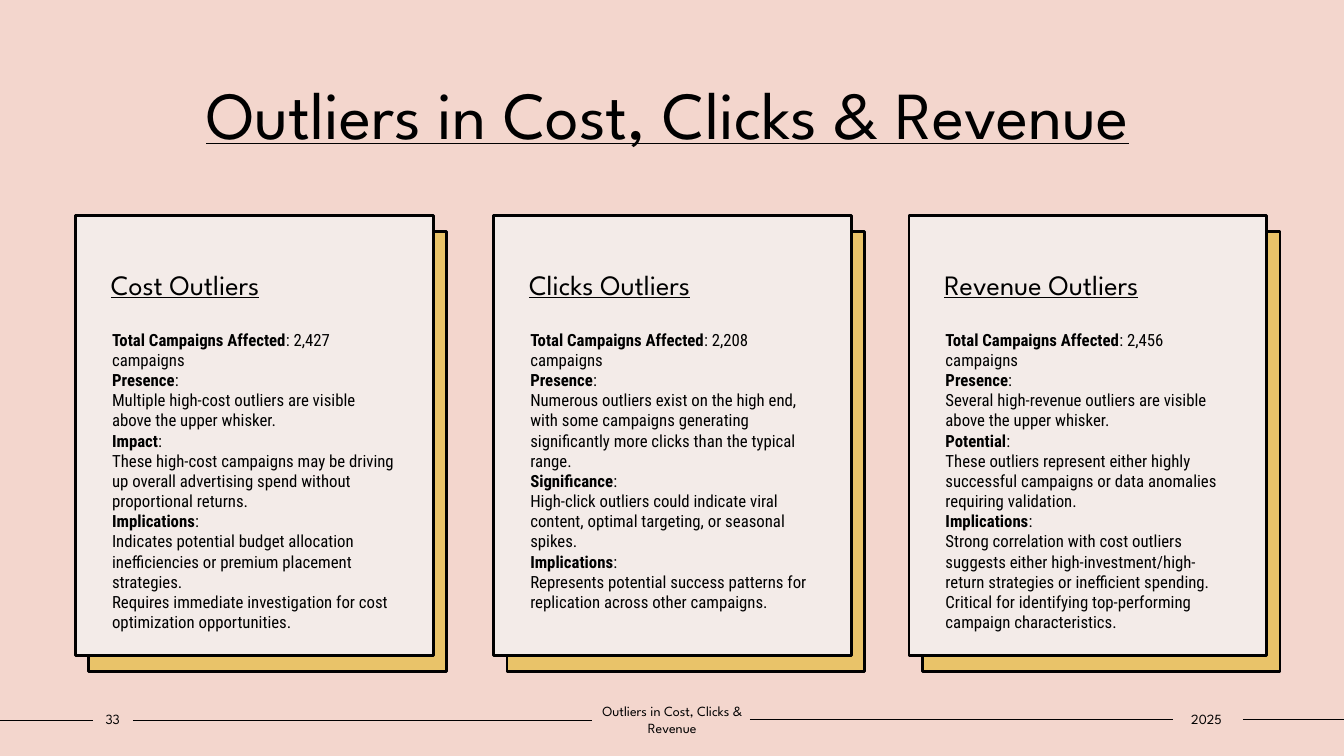
from pptx import Presentation
from pptx.dml.color import RGBColor
from pptx.enum.shapes import MSO_CONNECTOR as CONN, MSO_SHAPE as SHAPE
from pptx.enum.text import MSO_ANCHOR as ANCHOR, PP_ALIGN as ALIGN
from pptx.oxml.ns import qn
from pptx.util import Pt
from lxml.etree import SubElement

COLORS = {"bg": "F3D6CD", "card": "F3EBE8", "gold": "E9C369", "ink": "000000"}
HEAD, BODY = "League Spartan", "Roboto Condensed"
TITLE = "Outliers in Cost, Clicks & Revenue"

CARD_W, CARD_H, CARD_TOP = 255.6, 313.9, 154.1

# Left edge, heading, then (label, lines after the label)
CARDS = [
    (54, "Cost Outliers", [
        ("Total Campaigns Affected", [": 2,427 campaigns"]),
        ("Presence", [":", "Multiple high-cost outliers are visible above the upper whisker."]),
        ("Impact", [":", "These high-cost campaigns may be driving up overall advertising "
                    "spend without proportional returns."]),
        ("Implications", [":", "Indicates potential budget allocation inefficiencies or "
                          "premium placement strategies.",
                          "Requires immediate investigation for cost optimization opportunities."]),
    ]),
    (352.7, "Clicks Outliers", [
        ("Total Campaigns Affected", [": 2,208 campaigns"]),
        ("Presence", [":", "Numerous outliers exist on the high end, with some campaigns "
                      "generating significantly more clicks than the typical range."]),
        ("Significance", [":", "High-click outliers could indicate viral content, optimal "
                          "targeting, or seasonal spikes."]),
        ("Implications", [":", "Represents potential success patterns for replication "
                          "across other campaigns."]),
    ]),
    (649.3, "Revenue Outliers", [
        ("Total Campaigns Affected", [": 2,456 campaigns"]),
        ("Presence", [":", "Several high-revenue outliers are visible above the upper whisker."]),
        ("Potential", [":", "These outliers represent either highly successful campaigns or "
                       "data anomalies requiring validation."]),
        ("Implications", [":", "Strong correlation with cost outliers suggests either "
                          "high-investment/high-return strategies or inefficient spending.",
                          "Critical for identifying top-performing campaign characteristics."]),
    ]),
]

# Footer: (x1, x2, y) rules and (left, width, text) labels
RULES = [(0, 66.2, 514.8), (95, 422.6, 514.8), (535.7, 838.1, 514.1), (887.8, 960, 514.1)]
LABELS = [(66.2, 28.8, "33"), (422.6, 115.2, TITLE), (836.6, 50.4, "2025")]


def rgb(name):
    return RGBColor.from_string(COLORS[name])


class Deck:
    def __init__(self):
        self.prs = Presentation()
        self.prs.slide_width, self.prs.slide_height = Pt(960), Pt(540)
        self.s = self.prs.slides.add_slide(self.prs.slide_layouts[5])
        fill = self.s.background.fill
        fill.solid()
        fill.fore_color.rgb = rgb("bg")

    def frame(self, sp, insets, anchor=ANCHOR.TOP):
        tf = sp.text_frame
        tf.word_wrap = True
        tf.vertical_anchor = anchor
        tf.margin_left, tf.margin_top, tf.margin_right, tf.margin_bottom = map(Pt, insets)
        return tf

    def run(self, p, text, size, font=HEAD, bold=False, underline=False):
        r = p.add_run()
        r.text = text
        f = r.font
        f.name, f.size, f.bold, f.underline = font, Pt(size), bold, underline
        f.color.rgb = rgb("ink")

    def title(self, text, x, y, w, h):
        sp = self.s.shapes.title
        sp.left, sp.top, sp.width, sp.height = map(Pt, (x, y, w, h))
        p = self.frame(sp, (7.2, 3.6, 7.2, 3.6), ANCHOR.MIDDLE).paragraphs[0]
        p.alignment = ALIGN.CENTER
        self.run(p, text, 48, underline=True)

    def rule(self, x1, x2, y):
        line = self.s.shapes.add_connector(CONN.STRAIGHT, Pt(x1), Pt(y), Pt(x2), Pt(y))
        line.line.color.rgb = rgb("ink")
        line.line.width = Pt(1)
        SubElement(line._element.spPr, qn("a:effectLst"))

    def panel(self, x, y, color):
        sp = self.s.shapes.add_shape(SHAPE.RECTANGLE, Pt(x), Pt(y), Pt(CARD_W), Pt(CARD_H))
        sp.shadow.inherit = False
        sp.fill.solid()
        sp.fill.fore_color.rgb = rgb(color)
        sp.line.color.rgb = rgb("ink")
        sp.line.width = Pt(2)
        return sp

    def card(self, x, heading, points):
        sp = self.panel(x, CARD_TOP, "card")
        p = self.frame(sp, (25.2, 39.6, 7.2, 3.6)).paragraphs[0]
        p.alignment = ALIGN.LEFT
        p.line_spacing = 0.9
        self.run(p, heading, 20, underline=True)

        box = self.s.shapes.add_textbox(Pt(x + 19), Pt(CARD_TOP + 77.7), Pt(216), Pt(219.6))
        tf = self.frame(box, (7.2, 3.6, 7.2, 3.6))
        for i, (label, lines) in enumerate(points):
            p = tf.add_paragraph() if i else tf.paragraphs[0]
            self.run(p, label, 12, BODY, bold=True)
            for j, text in enumerate(lines):
                if j:
                    p.add_line_break()
                self.run(p, text, 12, BODY)

    def label(self, x, w, text):
        box = self.s.shapes.add_textbox(Pt(x), Pt(504), Pt(w), Pt(19.4))
        p = self.frame(box, (0, 3.6, 0, 3.6), ANCHOR.MIDDLE).paragraphs[0]
        p.alignment = ALIGN.CENTER
        self.run(p, text, 10)


def main():
    deck = Deck()
    # Footer rules
    for rule in RULES:
        deck.rule(*rule)
    # Gold panels behind the cards
    for x, _, _ in CARDS:
        deck.panel(x + 9.4, CARD_TOP + 11.5, "gold")
    # Title and cards
    deck.title(TITLE, 49, 40.3, 856.1, 79.9)
    for card in CARDS:
        deck.card(*card)
    # Footer labels
    for label in LABELS:
        deck.label(*label)
    deck.prs.save("out.pptx")


if __name__ == "__main__":
    main()
